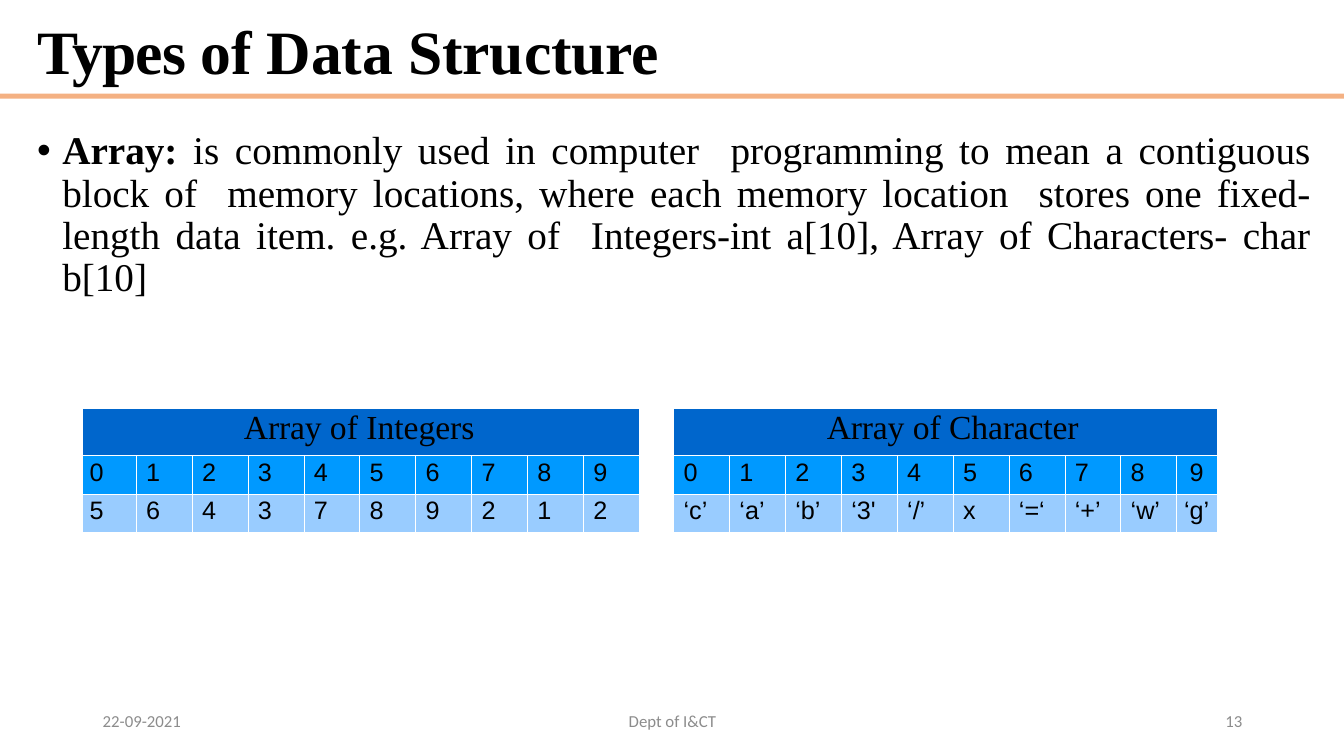
from dataclasses import dataclass

from lxml.etree import SubElement
from pptx import Presentation
from pptx.dml.color import RGBColor
from pptx.enum.shapes import MSO_SHAPE as Shape
from pptx.enum.text import MSO_ANCHOR as Anchor, PP_ALIGN as Align
from pptx.oxml.ns import qn
from pptx.util import Inches, Pt


@dataclass(frozen=True)
class Theme:
    serif: str = "Times New Roman"
    sans: str = "Arial"
    footer_font: str = "Calibri"
    ink: str = "000000"
    muted: str = "8C8C8C"
    rule: str = "F4B183"
    grid: str = "FFFFFF"
    row_fills: tuple = ("0066CC", "0099FF", "99CCFF")
    title_size: int = 44
    body_size: int = 28
    heading_size: int = 24
    cell_size: int = 18
    footer_size: int = 12


class SlideBuilder:
    def __init__(self, slide, theme):
        self.slide = slide
        self.theme = theme

    def add_spans(self, para, spans, font, size, color):
        """Add spans given as (text, bold, letter spacing in points)."""
        for text, bold, spacing in spans:
            span = para.add_run()
            span.text = text
            span.font.name = font
            span.font.size = Pt(size)
            span.font.bold = bold
            span.font.color.rgb = RGBColor.from_string(color)
            if spacing:
                span._r.get_or_add_rPr().set("spc", str(round(spacing * 100)))

    def text_box(self, place, anchor=Anchor.TOP):
        """Return the first paragraph of a new wrapping text box."""
        box = self.slide.shapes.add_textbox(*map(Inches, place))
        box.text_frame.word_wrap = True
        box.text_frame.vertical_anchor = anchor
        return box.text_frame.paragraphs[0]

    def rule(self, place):
        bar = self.slide.shapes.add_shape(Shape.RECTANGLE, *map(Inches, place))
        bar.shadow.inherit = False
        bar.fill.solid()
        bar.fill.fore_color.rgb = RGBColor.from_string(self.theme.rule)
        bar.line.fill.background()

    def title(self, place, spans):
        para = self.text_box(place, Anchor.MIDDLE)
        para.line_spacing = 0.9
        self.add_spans(para, spans, self.theme.serif, self.theme.title_size, self.theme.ink)

    def bullet(self, place, spans):
        para = self.text_box(place)
        properties = para._p.get_or_add_pPr()
        properties.set("marL", str(Inches(0.25)))
        properties.set("indent", str(Inches(-0.25)))
        SubElement(properties, qn("a:buFont"), typeface=self.theme.sans)
        SubElement(properties, qn("a:buChar"), char="•")
        para.alignment = Align.JUSTIFY
        para.line_spacing = 0.9
        self.add_spans(para, spans, self.theme.serif, self.theme.body_size, self.theme.ink)

    def footer(self, left, width, text, align):
        para = self.text_box((left, 6.95, width, 0.4), Anchor.MIDDLE)
        para.alignment = align
        self.add_spans(para, [(text, False, 0)], self.theme.footer_font,
                       self.theme.footer_size, self.theme.muted)

    def cell_style(self, cell, fill, top_inset):
        cell.margin_left = cell.margin_right = cell.margin_bottom = 0
        cell.margin_top = Inches(top_inset)
        properties = cell._tc.get_or_add_tcPr()
        for side in ("lnL", "lnR", "lnT", "lnB"):
            line = SubElement(properties, qn(f"a:{side}"), w=str(Pt(0.25)))
            solid = SubElement(line, qn("a:solidFill"))
            SubElement(solid, qn("a:srgbClr"), val=self.theme.grid)
        cell.fill.solid()
        cell.fill.fore_color.rgb = RGBColor.from_string(fill)

    def array_table(self, left, widths, heading, heading_indent, values, indents):
        """Draw a heading over a row of indexes and a row of values; indent 0 centres."""
        heights = (0.47, 0.38, 0.38)
        frame = self.slide.shapes.add_table(
            len(heights), len(widths), Inches(left), Inches(4.05),
            Inches(sum(widths)), Inches(sum(heights)))
        table = frame.table
        table.first_row = table.horz_banding = False
        for column, width in zip(table.columns, widths):
            column.width = Inches(width)
        for row, height, fill in zip(table.rows, heights, self.theme.row_fills):
            row.height = Inches(height)
            for cell in row.cells:
                self.cell_style(cell, fill, 0.01 if height == heights[0] else 0.03)

        table.cell(0, 0).merge(table.cell(0, len(widths) - 1))
        para = table.cell(0, 0).text_frame.paragraphs[0]
        para._p.get_or_add_pPr().set("marL", str(Inches(heading_indent)))
        self.add_spans(para, heading, self.theme.serif, self.theme.heading_size,
                       self.theme.ink)

        for row_index, texts in enumerate((range(len(widths)), values), start=1):
            for column_index, (text, indent) in enumerate(zip(texts, indents)):
                para = table.cell(row_index, column_index).text_frame.paragraphs[0]
                if indent:
                    para._p.get_or_add_pPr().set("marL", str(Inches(indent)))
                else:
                    para.alignment = Align.CENTER
                self.add_spans(para, [(str(text), False, 0)], self.theme.sans,
                               self.theme.cell_size, self.theme.ink)


def main():
    deck = Presentation()
    deck.slide_width, deck.slide_height = Inches(13.33), Inches(7.5)
    page = SlideBuilder(deck.slides.add_slide(deck.slide_layouts[6]), Theme())

    page.rule((0, 0.93, 13.33, 0.05))
    page.title((0.27, 0.15, 12.15, 0.79),
               [("Types ", True, -0.7), ("of Data Structure", True, -0.1)])
    page.bullet((0.27, 1.25, 12.83, 5.6), [
        ("Array: ", True, 0),
        ("is commonly used in computer  programming to mean a contiguous block of  "
         "memory locations, where each memory location  stores one fixed-length data "
         "item. e.g. Array of  Integers-int a[10], Array of Characters- char b[10]",
         False, 0)])

    page.footer(0.92, 3, "22-09-2021", Align.LEFT)
    page.footer(4.42, 4.5, "Dept of I&CT", Align.CENTER)
    page.footer(9.42, 3, "13", Align.RIGHT)

    integer_step = (5.53 - 0.54) / 9
    page.array_table(
        0.81, [0.54] + [integer_step] * 9,
        [("Array ", False, -0.1), ("of Integers", False, 0)], 1.61,
        [5, 6, 4, 3, 7, 8, 9, 2, 1, 2], [0.08] + [0.1] * 9)

    character_step = (5.39 - 0.4) / 9
    page.array_table(
        6.68, [character_step] * 9 + [0.4],
        [("Array ", False, -0.1), ("of ", False, 0), ("Character", False, -0.1)], 1.52,
        ["‘c’", "‘a’", "‘b’", "‘3'", "‘/’", "x", "‘=‘", "‘+’", "‘w’", "‘g’"],
        [0.1] * 9 + [0])

    deck.save("out.pptx")


if __name__ == "__main__":
    main()
